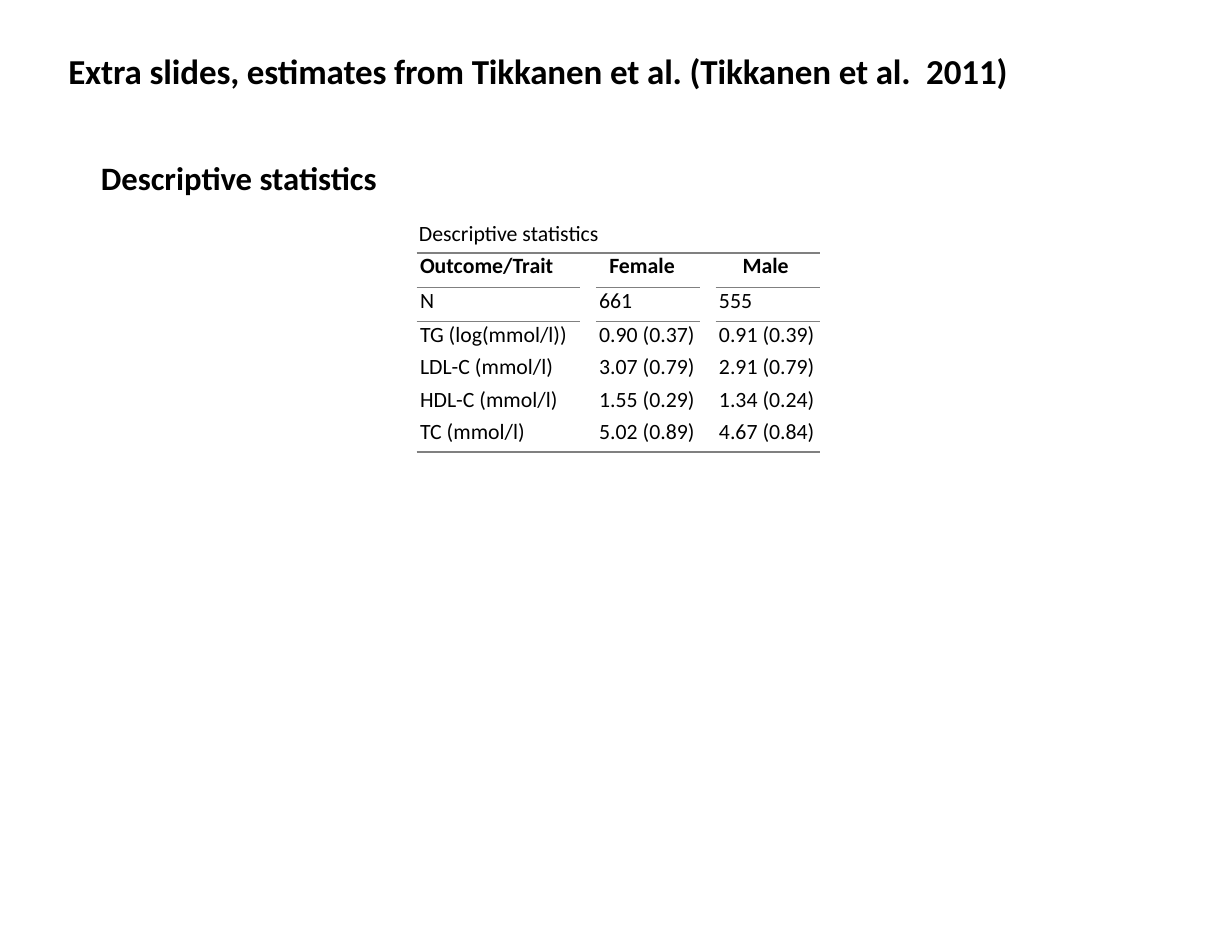
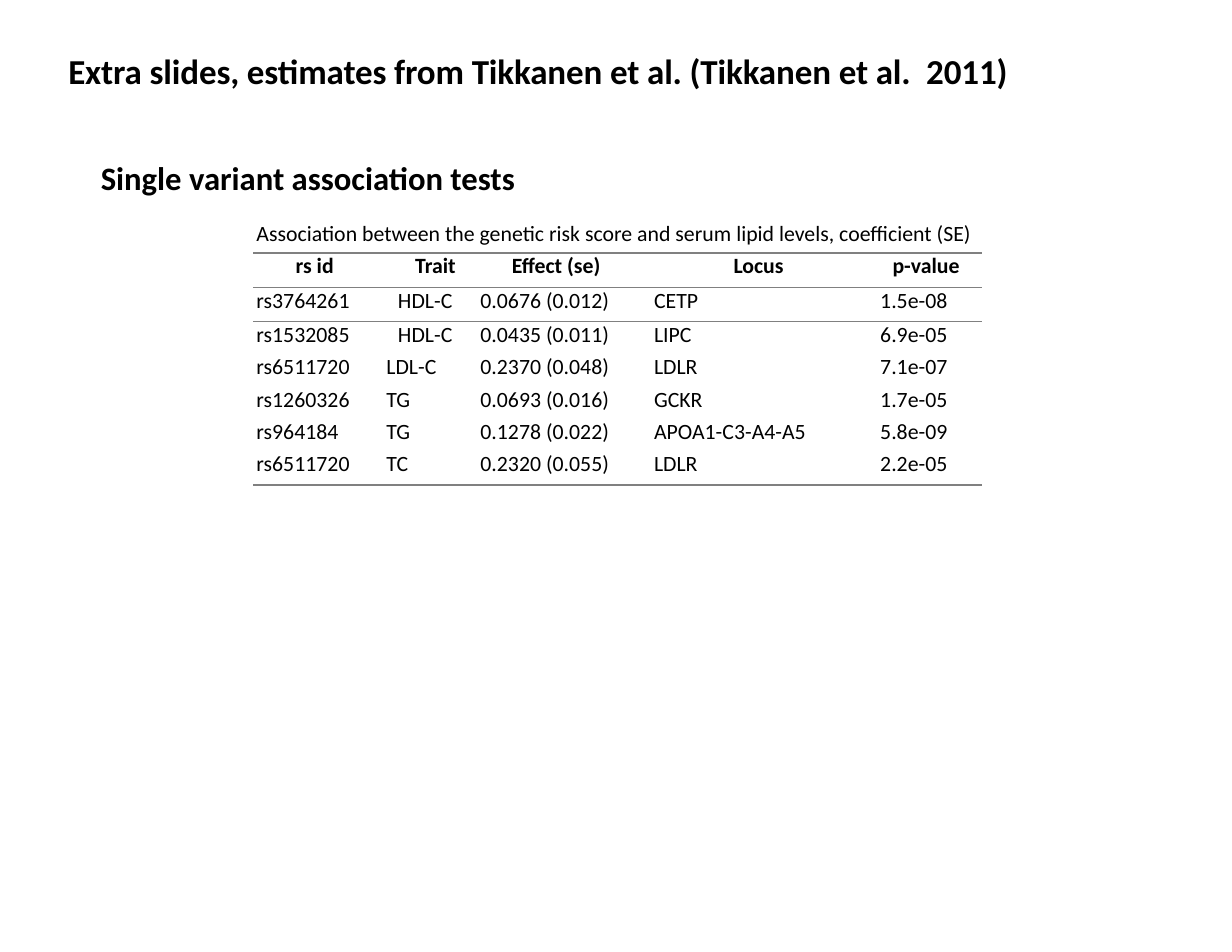
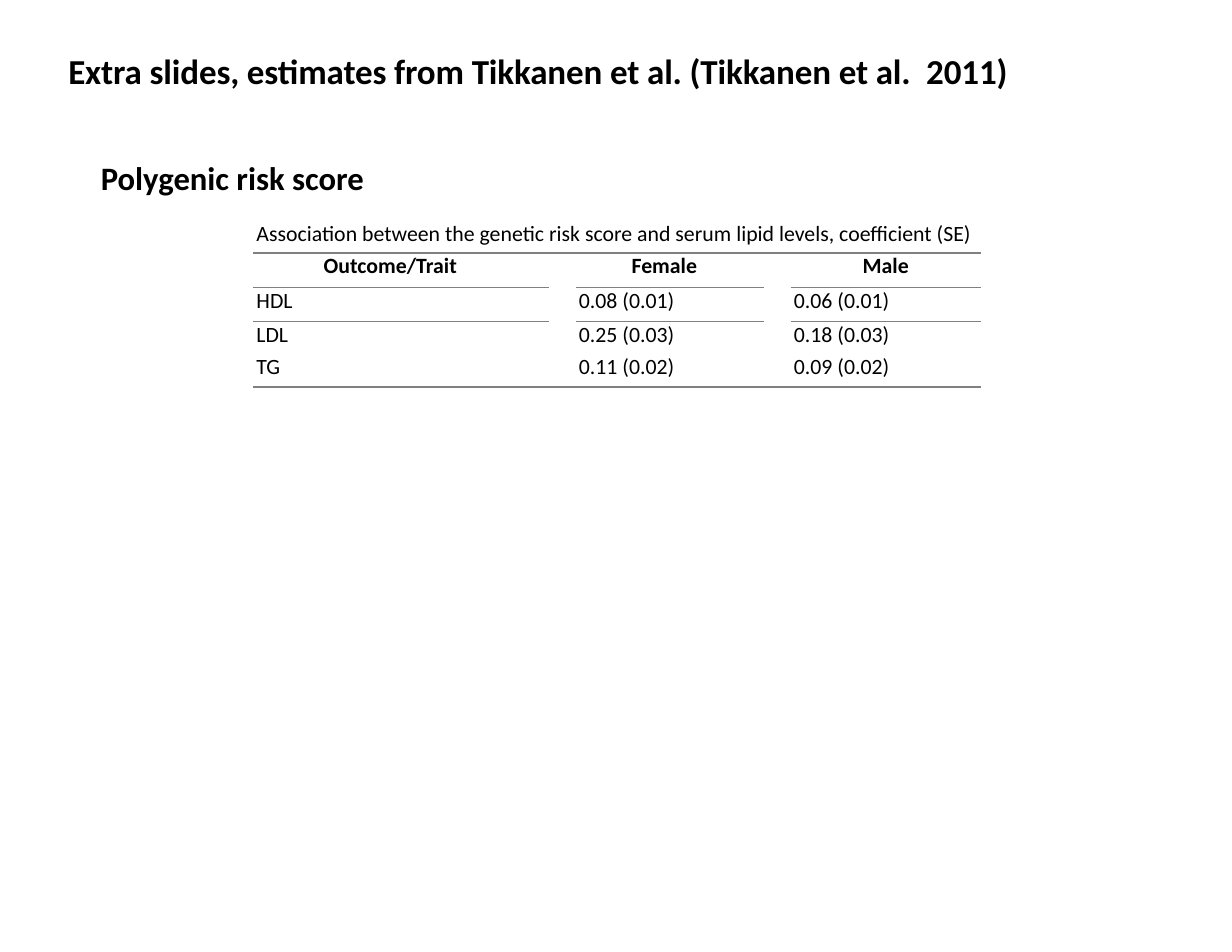
from dataclasses import dataclass

from lxml import etree
from pptx import Presentation
from pptx.dml.color import RGBColor
from pptx.enum import text
from pptx.oxml import ns
from pptx.util import Inches, Pt

TITLE = "Extra slides, estimates from Tikkanen et al. (Tikkanen et al.  2011)"
SCORE_CAPTION = ("Association between the genetic risk score and serum lipid "
                 "levels, coefficient (SE)")
NO_TABLE_STYLE = "{2D5ABB26-0587-4C30-8999-92F81FD0307C}"
THICK, THIN = 1.5, 0.75


def colour(code):
    return RGBColor.from_string(code)


@dataclass
class Column:
    """Indents are inches: negative counts from the right edge, None centres."""
    width: float
    header: str = ""
    header_indent: float = 0.03
    indent: float = 0.03
    ruled: bool = True


def spacer(width):
    return Column(width, ruled=False)


class Deck:
    font = "Calibri"
    ink = "000000"
    rule = "808080"
    table_size = 14

    def __init__(self):
        self.show = Presentation()
        self.show.slide_width, self.show.slide_height = Inches(11), Inches(8.5)
        self.page = None

    def add_page(self):
        self.page = self.show.slides.add_slide(self.show.slide_layouts[1])
        box = self.page.shapes.title
        frame = self.place(box, 0.6, 0.45, 8.69, 0.73)
        para = frame.paragraphs[0]
        self.indent(para, 0.01)
        para.line_spacing = Pt(26.3)
        span = self.add_span(para, TITLE, 22.5, True)
        span.font._element.set("spc", "-10")

    def place(self, box, left, top, width, height):
        """Move a placeholder and strip its margins; return its text frame."""
        box.left, box.top = Inches(left), Inches(top)
        box.width, box.height = Inches(width), Inches(height)
        frame = box.text_frame
        frame.margin_left = frame.margin_right = 0
        frame.margin_top = frame.margin_bottom = 0
        frame.word_wrap = True
        frame.auto_size = text.MSO_AUTO_SIZE.SHAPE_TO_FIT_TEXT
        frame.vertical_anchor = text.MSO_ANCHOR.TOP
        return frame

    def indent(self, para, inches):
        """Left-align a paragraph, without bullet, at the given indent."""
        properties = para._p.get_or_add_pPr()
        properties.set("marL", str(Inches(inches)))
        properties.set("indent", "0")
        etree.SubElement(properties, ns.qn("a:buNone"))
        para.alignment = text.PP_ALIGN.LEFT
        para.space_before = Pt(0)

    def add_span(self, para, words, size, bold=False):
        span = para.add_run()
        span.text = words
        span.font.name, span.font.size, span.font.bold = self.font, Pt(size), bold
        span.font.color.rgb = colour(self.ink)
        return span

    def add_heading(self, heading, caption, width, caption_indent):
        box = self.page.placeholders[1]
        frame = self.place(box, 0.89, 1.41, width, 0.79)
        para = frame.paragraphs[0]
        self.indent(para, 0.01)
        self.add_span(para, heading, 21, True)
        para = frame.add_paragraph()
        self.indent(para, caption_indent)
        para.space_before = Pt(14.8)
        self.add_span(para, caption, self.table_size)

    def add_table(self, left, columns, rows):
        """Draw a ruled table; a cell is its words or (words, indent)."""
        heights = [0.31, 0.3] + [0.29] * (len(rows) - 2) + [0.3]
        frame = self.page.shapes.add_table(
            len(heights), len(columns), Inches(left), Inches(2.26),
            Inches(sum(column.width for column in columns)), Inches(sum(heights)))
        table = frame.table
        table.first_row = table.horz_banding = False
        table._tbl.tblPr.find(ns.qn("a:tableStyleId")).text = NO_TABLE_STYLE
        for row, height in zip(table.rows, heights):
            row.height = Inches(height)
        for index, column in enumerate(columns):
            table.columns[index].width = Inches(column.width)
            self.fill_cell(table.cell(0, index), column.header,
                           column.header_indent, bold=True)
        ruled = [index for index, column in enumerate(columns) if column.ruled]
        for number, row in enumerate(rows, 1):
            for index, column in enumerate(columns):
                words, indent = "", column.indent
                if index in ruled:
                    words = row[ruled.index(index)]
                if isinstance(words, tuple):
                    words, indent = words
                self.fill_cell(table.cell(number, index), words, indent)
        for index, column in enumerate(columns):
            self.rule_cell(table.cell(0, index), "lnT", THICK)
            if column.ruled:
                self.rule_cell(table.cell(0, index), "lnB", THIN)
                self.rule_cell(table.cell(1, index), "lnB", THIN)
            self.rule_cell(table.cell(len(rows), index), "lnB", THICK)
        for cell in table.iter_cells():
            cell.fill.background()

    def fill_cell(self, cell, words, indent, bold=False):
        cell.margin_left = cell.margin_right = 0
        cell.margin_top = cell.margin_bottom = 0
        para = cell.text_frame.paragraphs[0]
        if not words:
            etree.SubElement(para._p, ns.qn("a:endParaRPr"),
                             sz=str(self.table_size * 100))
            return
        if indent is None:
            para.alignment = text.PP_ALIGN.CENTER
        elif indent < 0:
            para.alignment = text.PP_ALIGN.RIGHT
            cell.margin_right = Inches(-indent)
        else:
            self.indent(para, indent)
        para.space_before = Pt(0.7)
        self.add_span(para, words, self.table_size, bold)

    def rule_cell(self, cell, side, points):
        properties = cell._tc.get_or_add_tcPr()
        line = etree.SubElement(properties, ns.qn(f"a:{side}"), w=str(Pt(points)))
        fill = etree.SubElement(line, ns.qn("a:solidFill"))
        etree.SubElement(fill, ns.qn("a:srgbClr"), val=self.rule)


def descriptive_page(deck):
    deck.add_page()
    deck.add_heading("Descriptive statistics", "Descriptive statistics", 4.5, 2.85)
    columns = [Column(1.46, "Outcome/Trait"), spacer(0.14),
               Column(0.93, "Female", 0.12), spacer(0.14),
               Column(0.93, "Male", 0.24)]
    deck.add_table(3.72, columns, [
        ("N", "661", "555"),
        ("TG (log(mmol/l))", "0.90 (0.37)", "0.91 (0.39)"),
        ("LDL-C (mmol/l)", "3.07 (0.79)", "2.91 (0.79)"),
        ("HDL-C (mmol/l)", "1.55 (0.29)", "1.34 (0.24)"),
        ("TC (mmol/l)", "5.02 (0.89)", "4.67 (0.84)"),
    ])


def variant_page(deck):
    deck.add_page()
    deck.add_heading("Single variant association tests", SCORE_CAPTION, 7.83, 1.4)
    columns = [Column(1.03, "rs id", 0.38), Column(0.89, "Trait", -0.11, 0.16),
               Column(1.49, "Effect (se)", 0.39, 0.11),
               Column(1.93, "Locus", 0.88, 0.17),
               Column(1.17, "p-value", 0.37, 0.26)]
    hdl = ("HDL-C", -0.14)
    deck.add_table(2.26, columns, [
        ("rs3764261", hdl, "0.0676 (0.012)", "CETP", "1.5e-08"),
        ("rs1532085", hdl, "0.0435 (0.011)", "LIPC", "6.9e-05"),
        ("rs6511720", "LDL-C", "0.2370 (0.048)", "LDLR", "7.1e-07"),
        ("rs1260326", "TG", "0.0693 (0.016)", "GCKR", "1.7e-05"),
        ("rs964184", "TG", "0.1278 (0.022)", "APOA1-C3-A4-A5", "5.8e-09"),
        ("rs6511720", "TC", "0.2320 (0.055)", "LDLR", "2.2e-05"),
    ])


def score_page(deck):
    deck.add_page()
    deck.add_heading("Polygenic risk score", SCORE_CAPTION, 7.83, 1.4)
    columns = [Column(0.52), Column(2.12, "Outcome/Trait", 0.11), spacer(0.24),
               Column(1.68, "Female", 0.5), spacer(0.24),
               Column(1.7, "Male", None)]
    deck.add_table(2.26, columns, [
        ("HDL", "", "0.08 (0.01)", "0.06 (0.01)"),
        ("LDL", "", "0.25 (0.03)", "0.18 (0.03)"),
        ("TG", "", "0.11 (0.02)", "0.09 (0.02)"),
    ])


def main():
    deck = Deck()
    descriptive_page(deck)
    variant_page(deck)
    score_page(deck)
    deck.show.save("out.pptx")


if __name__ == "__main__":
    main()
